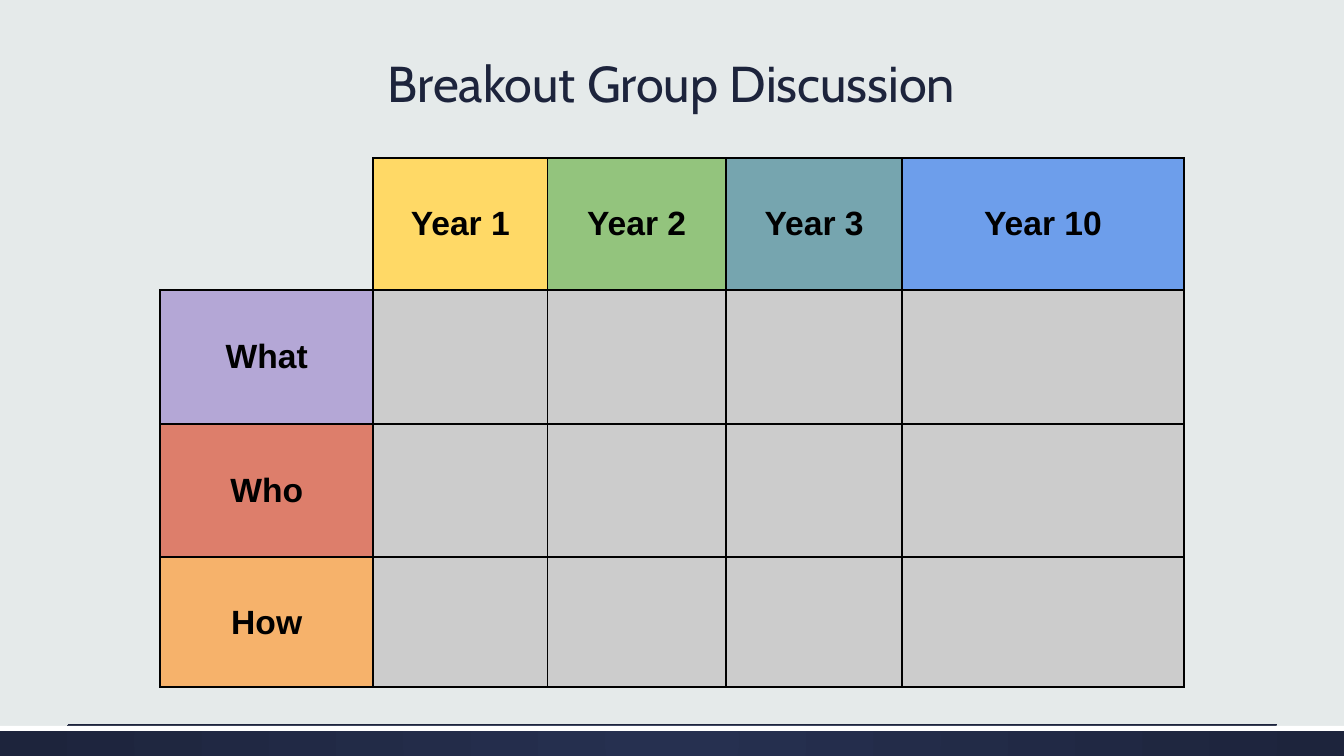
from dataclasses import dataclass

from lxml.etree import SubElement
from pptx import Presentation
from pptx.dml.color import RGBColor
from pptx.enum.shapes import MSO_CONNECTOR, MSO_SHAPE
from pptx.enum.text import MSO_ANCHOR, PP_ALIGN
from pptx.oxml.ns import qn
from pptx.util import Inches, Pt


@dataclass(frozen=True)
class Theme:
    back: str = "E5EAEA"
    navy: str = "1D243C"
    glow: str = "263050"
    white: str = "FFFFFF"
    ink: str = "000000"
    blank: str = "CCCCCC"
    head: str = "Cabin"
    body: str = "Arial"
    big: int = 36
    mid: int = 24
    rule: float = 1.5
    hair: float = 0.75


YEARS = {"Year 1": "FFD966", "Year 2": "93C47D",
         "Year 3": "76A5AF", "Year 10": "6D9EEB"}
ROWS = {"What": "B4A7D6", "Who": "DD7E6B", "How": "F6B26B"}
WIDTHS = (2.11, 1.73, 1.77, 1.75, 2.79)
HEIGHTS = (1.31, 1.33, 1.32, 1.29)


def rgb(code):
    return RGBColor.from_string(code)


def assign(item, values):
    for name, value in values.items():
        setattr(item, name, value)


class Page:
    def __init__(self, deck, theme):
        self.theme = theme
        self.slide = deck.slides.add_slide(deck.slide_layouts[5])
        fill = self.slide.background.fill
        fill.solid()
        fill.fore_color.rgb = rgb(theme.back)

    def label(self, para, text, color, **style):
        para.alignment = PP_ALIGN.CENTER
        run = para.add_run()
        run.text = text
        assign(run.font, style)
        run.font.color.rgb = rgb(color)

    def title(self, text, left, top, width, height):
        shape = self.slide.shapes.title
        assign(shape, {"left": Inches(left), "top": Inches(top),
                       "width": Inches(width), "height": Inches(height)})
        frame = shape.text_frame
        assign(frame, {"word_wrap": True, "vertical_anchor": MSO_ANCHOR.BOTTOM})
        para = frame.paragraphs[0]
        para.line_spacing = 0.9
        self.label(para, text, self.theme.navy, name=self.theme.head,
                   size=Pt(self.theme.big))

    def band(self, top, height, *colors):
        """Full-width strip: one colour is solid, two glow from the centre."""
        shape = self.slide.shapes.add_shape(
            MSO_SHAPE.RECTANGLE, 0, Inches(top), Inches(13.33), Inches(height))
        shape.shadow.inherit = False
        shape.line.fill.background()
        fill = shape.fill
        if len(colors) == 1:
            fill.solid()
            fill.fore_color.rgb = rgb(colors[0])
            return
        fill.gradient()
        for stop, color, place in zip(fill.gradient_stops, colors, (0, 1)):
            stop.color.rgb = rgb(color)
            stop.position = place
        grad = shape._element.spPr.find(qn("a:gradFill"))
        grad.remove(grad.find(qn("a:lin")))
        way = SubElement(grad, qn("a:path"), {"path": "circle"})
        SubElement(way, qn("a:fillToRect"), dict.fromkeys("ltrb", "50000"))

    def line(self, left, right, top):
        rule = self.slide.shapes.add_connector(
            MSO_CONNECTOR.STRAIGHT, Inches(left), Inches(top),
            Inches(right), Inches(top))
        rule.line.width = Pt(self.theme.hair)
        rule.line.color.rgb = rgb(self.theme.navy)
        SubElement(rule._element.spPr, qn("a:effectLst"))

    def edge(self, cell, shown):
        """Rule the sides named in shown and clear the others."""
        props = cell._tc.get_or_add_tcPr()
        width = str(Pt(self.theme.rule))
        for side in "LRTB":
            line = SubElement(props, qn("a:ln" + side), {"w": width})
            if side in shown:
                paint = SubElement(line, qn("a:solidFill"))
                SubElement(paint, qn("a:srgbClr"), {"val": self.theme.ink})
            else:
                SubElement(line, qn("a:noFill"))

    def cell(self, cell, text, color):
        self.edge(cell, "LRTB" if color else "RB")
        if color:
            cell.fill.solid()
            cell.fill.fore_color.rgb = rgb(color)
        else:
            cell.fill.background()
        if text:
            pad = Inches(0.04)
            assign(cell, {"vertical_anchor": MSO_ANCHOR.MIDDLE,
                          "margin_left": pad, "margin_right": pad,
                          "margin_top": pad, "margin_bottom": pad})
            self.label(cell.text_frame.paragraphs[0], text, self.theme.ink,
                       name=self.theme.body, size=Pt(self.theme.mid), bold=True)

    def grid(self, left, top, heads, sides):
        table = self.slide.shapes.add_table(
            len(HEIGHTS), len(WIDTHS), Inches(left), Inches(top),
            Inches(sum(WIDTHS)), Inches(sum(HEIGHTS))).table
        assign(table, {"first_row": False, "horz_banding": False})
        for col, width in zip(table.columns, WIDTHS):
            col.width = Inches(width)
        for row, height in zip(table.rows, HEIGHTS):
            row.height = Inches(height)
        blanks = [("", self.theme.blank)] * len(heads)
        lines = [[("", None), *heads.items()]]
        lines += [[side, *blanks] for side in sides.items()]
        for row, line in zip(table.rows, lines):
            for cell, (text, color) in zip(row.cells, line):
                self.cell(cell, text, color)


def main():
    deck = Presentation()
    assign(deck, {"slide_width": Inches(13.33), "slide_height": Inches(7.5)})
    theme = Theme()
    page = Page(deck, theme)
    page.band(7.2, 0.3, theme.glow, theme.navy)
    page.band(7.2, 0.05, theme.white)
    page.line(0.67, 12.67, 7.19)
    page.grid(1.59, 1.57, YEARS, ROWS)
    page.title("Breakout Group Discussion", 3.25, 0.32, 6.82, 0.86)
    deck.save("out.pptx")


if __name__ == "__main__":
    main()
